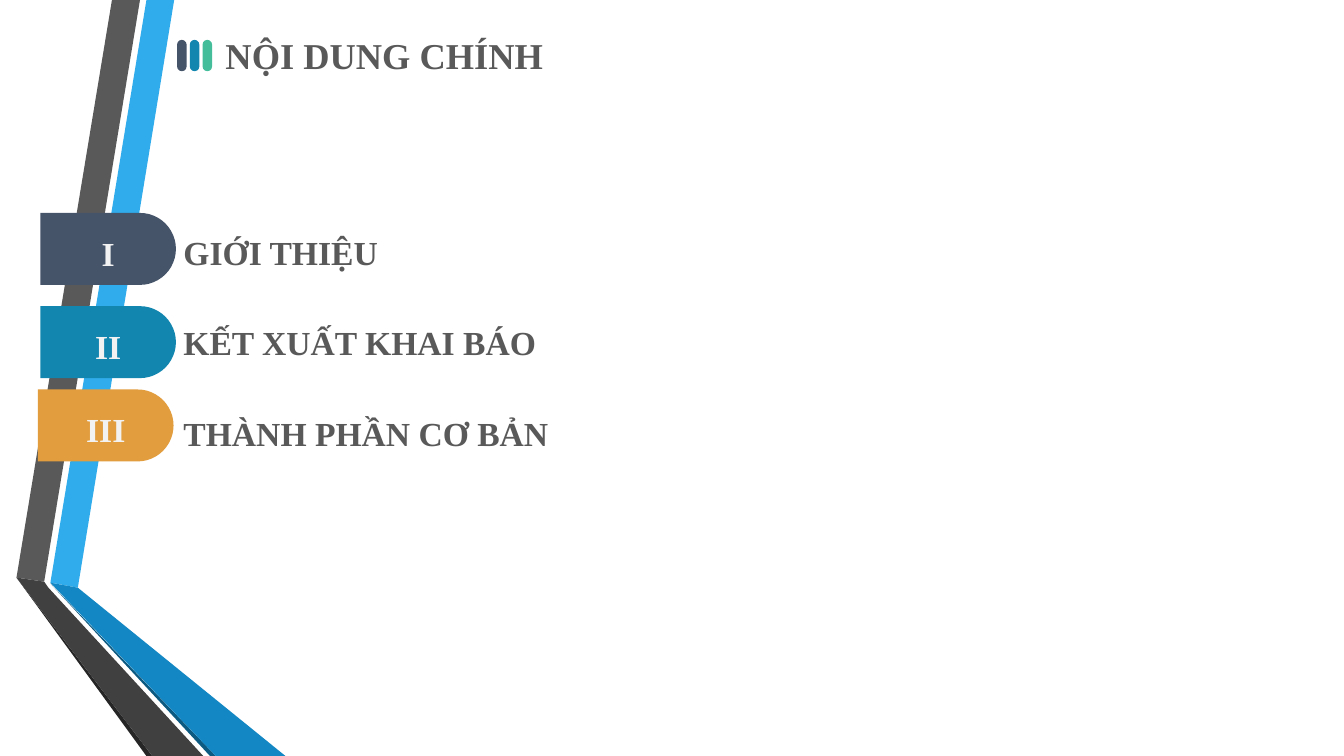
from dataclasses import dataclass
from math import cos, pi, sin

from pptx import Presentation
from pptx.dml.color import RGBColor
from pptx.enum.shapes import MSO_SHAPE as Preset
from pptx.enum.text import MSO_ANCHOR as Anchor, PP_ALIGN as Align
from pptx.util import Pt

Point = tuple[float, float]


@dataclass(frozen=True)
class Theme:
    font: str = "Times New Roman"
    text: str = "595959"
    tab_text: str = "F2F2F2"
    navy: str = "46546A"
    teal: str = "1386B0"
    green: str = "44BD9B"
    orange: str = "E29D3E"
    sky: str = "30ACEC"
    blue: str = "1287C3"
    deep_blue: str = "0C5A82"
    grey: str = "595959"
    dark_grey: str = "404040"
    black: str = "262626"
    title_size: int = 26
    item_size: int = 24


@dataclass(frozen=True)
class Ribbon:
    color: str
    points: list[Point]


@dataclass(frozen=True)
class Tab:
    numeral: str
    color: str
    left: float
    top: float


@dataclass(frozen=True)
class TextBox:
    lines: list[str]
    size: int
    left: float
    top: float
    width: float
    height: float
    bottom_inset: float = 3.6
    gap: float = 0


THEME = Theme()
BAR_LEFT, BAR_TOP, BAR_WIDTH, BAR_HEIGHT, BAR_PITCH = 126.5, 28.5, 6.8, 22.4, 9.1
TAB_BODY, TAB_RADIUS, ARC_STEPS = 71.2, 25.7, 24

RIBBONS = [
    Ribbon(THEME.sky, [(36, 416.2), (55.6, 419.8), (124.4, 0), (104.6, 0)]),
    Ribbon(THEME.grey, [(100, 0), (80, 0), (11.8, 412.6), (31.6, 415.5)]),
    Ribbon(THEME.black, [(11.8, 412.6), (104.6, 540), (108.8, 540)]),
    Ribbon(THEME.deep_blue, [(36, 416.8), (150, 540), (154.2, 540)]),
    Ribbon(THEME.blue, [(36, 416.2), (154.2, 540), (203.9, 540), (55.6, 419.8)]),
    Ribbon(THEME.dark_grey, [(145.2, 540), (34.6, 419.8), (31.6, 415.5),
                             (11.8, 412.6), (108.8, 540)]),
]
BAR_COLORS = [THEME.navy, THEME.teal, THEME.green]
TEXT_BOXES = [
    TextBox(["NỘI DUNG CHÍNH"], THEME.title_size, 154, 14.4, 756, 50.4),
    TextBox(["GIỚI THIỆU", "KẾT XUẤT KHAI BÁO", "THÀNH PHẦN CƠ BẢN"],
            THEME.item_size, 124, 72.7, 789, 382.3, bottom_inset=42, gap=18),
]
TABS = [
    Tab("I", THEME.navy, 28.8, 152.1),
    Tab("II", THEME.teal, 28.8, 218.7),
    Tab("III", THEME.orange, 27.1, 278.2),
]


def paint(s, color: str) -> None:
    s.shadow.inherit = False
    s.fill.solid()
    s.fill.fore_color.rgb = RGBColor.from_string(color)
    s.line.fill.background()


def add_outline(shapes, points: list[Point], color: str):
    (x, y), *rest = [(Pt(px), Pt(py)) for px, py in points]
    builder = shapes.build_freeform(x, y, scale=1.0)
    builder.add_line_segments(rest, close=True)
    s = builder.convert_to_shape()
    paint(s, color)
    return s


def add_bar(shapes, index: int, color: str) -> None:
    s = shapes.add_shape(Preset.ROUNDED_RECTANGLE, Pt(BAR_LEFT + index * BAR_PITCH),
                         Pt(BAR_TOP), Pt(BAR_WIDTH), Pt(BAR_HEIGHT))
    s.adjustments[0] = 0.5
    paint(s, color)


def write(p, text: str, size: int, color: str) -> None:
    r = p.add_run()
    r.text = text
    for name, value in {"name": THEME.font, "size": Pt(size), "bold": True}.items():
        setattr(r.font, name, value)
    r.font.color.rgb = RGBColor.from_string(color)


def add_text_box(shapes, box: TextBox) -> None:
    tf = shapes.add_textbox(Pt(box.left), Pt(box.top), Pt(box.width),
                            Pt(box.height)).text_frame
    frame_format = {"word_wrap": True, "vertical_anchor": Anchor.MIDDLE,
                    "margin_bottom": Pt(box.bottom_inset)}
    for name, value in frame_format.items():
        setattr(tf, name, value)
    for index, line in enumerate(box.lines):
        p = tf.add_paragraph() if index else tf.paragraphs[0]
        p.space_before = p.space_after = Pt(box.gap)
        write(p, line, box.size, THEME.text)


def add_tab(shapes, tab: Tab) -> None:
    center_x, center_y = tab.left + TAB_BODY, tab.top + TAB_RADIUS
    angles = [pi * step / ARC_STEPS - pi / 2 for step in range(ARC_STEPS + 1)]
    arc = [(center_x + TAB_RADIUS * cos(a), center_y + TAB_RADIUS * sin(a))
           for a in angles]
    corners = [(tab.left, tab.top + 2 * TAB_RADIUS), (tab.left, tab.top)]
    tf = add_outline(shapes, arc + corners, tab.color).text_frame
    frame_format = {"margin_left": 0, "margin_right": 0, "margin_bottom": 0,
                    "margin_top": Pt(14), "vertical_anchor": Anchor.TOP}
    for name, value in frame_format.items():
        setattr(tf, name, value)
    p = tf.paragraphs[0]
    p.alignment = Align.CENTER
    write(p, tab.numeral, THEME.item_size, THEME.tab_text)


def main() -> None:
    prs = Presentation()
    prs.slide_width, prs.slide_height = Pt(960), Pt(540)
    shapes = prs.slides.add_slide(prs.slide_layouts[6]).shapes
    for ribbon in RIBBONS:
        add_outline(shapes, ribbon.points, ribbon.color)
    for index, color in enumerate(BAR_COLORS):
        add_bar(shapes, index, color)
    for box in TEXT_BOXES:
        add_text_box(shapes, box)
    for tab in TABS:
        add_tab(shapes, tab)
    prs.save("out.pptx")


if __name__ == "__main__":
    main()
